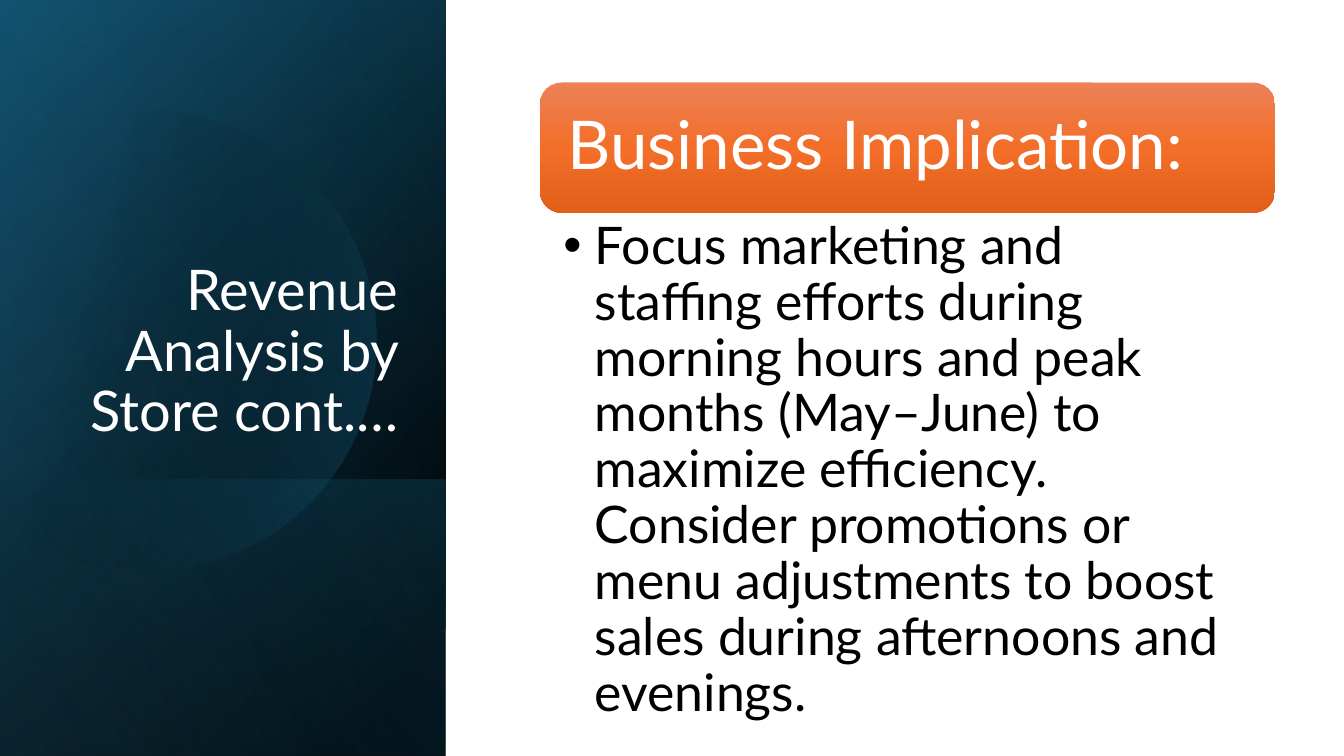
from math import acos, cos, sin

from lxml.etree import SubElement
from pptx import Presentation
from pptx.dml.color import RGBColor
from pptx.enum.shapes import MSO_SHAPE
from pptx.enum.text import MSO_ANCHOR, MSO_AUTO_SIZE, PP_ALIGN
from pptx.oxml.ns import qn
from pptx.util import Cm, Pt

COLORS = {
    "black": "000000", "white": "FFFFFF", "navy": "104862", "teal": "156082",
    "sky": "46B1E1", "peach": "ED8257", "orange": "F26E29", "rust": "E25F1A",
}
FONT = "Lato"
SLIDE_WIDTH, SLIDE_HEIGHT = 33.87, 19.05
PANEL_WIDTH = 11.23
BODY_LEFT, BODY_WIDTH = 13.61, 18.52


def paint_gradient(shape, angle, stops):
    """Fill with (position %, colour name, opacity %) stops and no outline."""
    shape.shadow.inherit = False
    shape.line.fill.background()
    shape.fill.gradient()
    shape.fill.gradient_angle = -angle % 360
    stop_list = shape.fill._fill._gradFill.find(qn("a:gsLst"))
    for old_stop in list(stop_list):
        stop_list.remove(old_stop)
    for position, name, opacity in stops:
        stop = SubElement(stop_list, qn("a:gs"), pos=str(position * 1000))
        color = SubElement(stop, qn("a:srgbClr"), val=COLORS[name])
        if opacity < 100:
            SubElement(color, qn("a:alpha"), val=str(opacity * 1000))


def add_panel_layer(slide, top, height, angle, stops):
    """Add a left panel layer, mirrored and turned by a quarter."""
    left = (PANEL_WIDTH - height) / 2
    turned_top = top + (height - PANEL_WIDTH) / 2
    layer = slide.shapes.add_shape(MSO_SHAPE.RECTANGLE, Cm(left), Cm(turned_top),
                                   Cm(height), Cm(PANEL_WIDTH))
    layer.rotation = 90
    layer._element.spPr.find(qn("a:xfrm")).set("flipH", "1")
    paint_gradient(layer, angle, stops)


def add_cut_circle(slide, center_x, center_y, radius, cut_x, angle, stops):
    """Add a circle whose left side is cut off upright at cut_x."""
    end = acos((cut_x - center_x) / radius)
    steps = 120
    turns = [end * (2 * step / steps - 1) for step in range(steps + 1)]
    points = [(Cm(center_x + radius * cos(turn)), Cm(center_y + radius * sin(turn)))
              for turn in turns]
    builder = slide.shapes.build_freeform(*points[0])
    builder.add_line_segments(points[1:], close=True)
    paint_gradient(builder.convert_to_shape(), angle, stops)


def write_text(shape, text, size, color, align=PP_ALIGN.LEFT,
               anchor=MSO_ANCHOR.TOP, insets=(0.25, 0.13, 0.25, 0.13), bullet_indent=None):
    frame = shape.text_frame
    frame.word_wrap = True
    frame.auto_size = MSO_AUTO_SIZE.NONE
    frame.vertical_anchor = anchor
    (frame.margin_left, frame.margin_top,
     frame.margin_right, frame.margin_bottom) = map(Cm, insets)
    paragraph = frame.paragraphs[0]
    paragraph.alignment = align
    paragraph.line_spacing = 0.9
    run = paragraph.add_run()
    run.text = text
    run.font.name = FONT
    run.font.size = Pt(size)
    run.font.color.rgb = RGBColor.from_string(COLORS[color])
    if bullet_indent:
        properties = paragraph._p.get_or_add_pPr()
        properties.set("marL", str(Cm(bullet_indent)))
        properties.set("indent", str(-Cm(bullet_indent)))
        SubElement(properties, qn("a:buFont"), typeface="Arial")
        SubElement(properties, qn("a:buChar"), char="•")


def add_side_panel(slide):
    full = (0, SLIDE_HEIGHT)
    add_panel_layer(slide, *full, 50, [(8, "black", 100), (100, "navy", 100)])
    add_panel_layer(slide, *full, 30, [(0, "black", 0), (99, "teal", 46)])
    add_panel_layer(slide, 12.09, 6.96, 130, [(2, "teal", 29), (100, "black", 30)])
    add_cut_circle(slide, 3.68, 8.58, 5.8, -0.38, 14,
                   [(29, "black", 0), (100, "teal", 43)])
    add_panel_layer(slide, *full, 120, [(0, "black", 0), (99, "sky", 11)])


def add_title(slide, text):
    title = slide.shapes.title
    title.left, title.top, title.width, title.height = map(Cm, (1.63, 4.67, 8.66, 6.65))
    write_text(title, text, 40, "white", align=PP_ALIGN.RIGHT, anchor=MSO_ANCHOR.BOTTOM)
    # Bring the title in front of the panel
    slide.shapes._spTree.append(title._element)


def add_implication(slide, heading, advice):
    banner = slide.shapes.add_shape(MSO_SHAPE.ROUNDED_RECTANGLE, Cm(BODY_LEFT), Cm(2.08),
                                    Cm(BODY_WIDTH), Cm(3.28))
    paint_gradient(banner, 90, [(0, "peach", 100), (50, "orange", 100), (100, "rust", 100)])
    write_text(banner, heading, 48, "white", anchor=MSO_ANCHOR.MIDDLE,
               insets=(0.53, 0.5, 0.53, 0.5))
    details = slide.shapes.add_textbox(Cm(BODY_LEFT), Cm(5.36), Cm(BODY_WIDTH), Cm(11.86))
    write_text(details, advice, 37, "black", insets=(0.59, 0.17, 0.93, 0.17),
               bullet_indent=0.79)


def main():
    presentation = Presentation()
    presentation.slide_width = Cm(SLIDE_WIDTH)
    presentation.slide_height = Cm(SLIDE_HEIGHT)
    slide = presentation.slides.add_slide(presentation.slide_layouts[5])

    # Left side: dark panel and title
    add_side_panel(slide)
    add_title(slide, "Revenue Analysis by Store cont.…")

    # Right side: heading and advice
    add_implication(
        slide, "Business Implication:",
        "Focus marketing and staffing efforts during morning hours and peak months "
        "(May–June) to maximize efficiency. Consider promotions or menu adjustments "
        "to boost sales during afternoons and evenings.")

    presentation.save("out.pptx")


if __name__ == "__main__":
    main()
